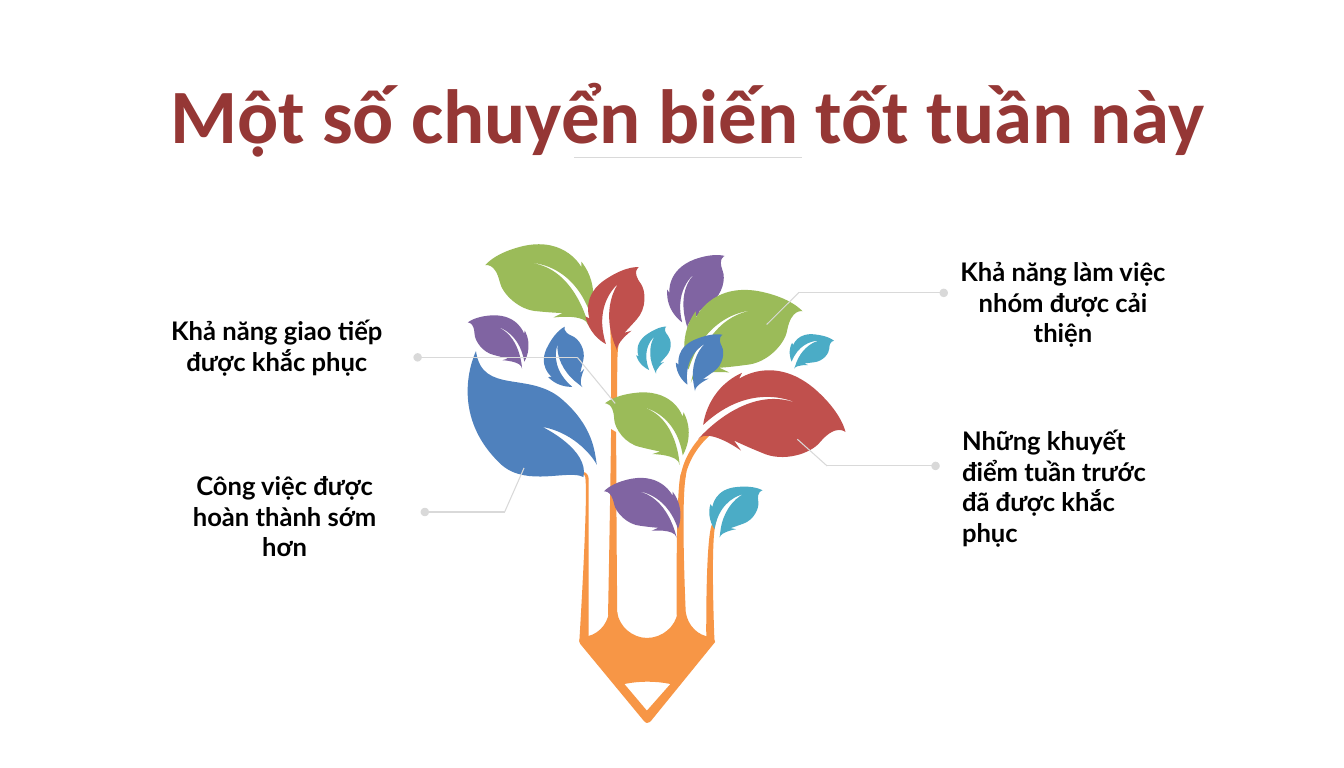
from pptx import Presentation
from pptx.dml.color import RGBColor
from pptx.enum.text import MSO_ANCHOR, MSO_AUTO_SIZE, PP_ALIGN
from pptx.enum.shapes import MSO_CONNECTOR
from pptx.oxml.ns import qn
from pptx.util import Inches, Pt
from lxml import etree

STRAIGHT = MSO_CONNECTOR.STRAIGHT
LEFT, CENTER = PP_ALIGN.LEFT, PP_ALIGN.CENTER
TOP, MIDDLE = MSO_ANCHOR.TOP, MSO_ANCHOR.MIDDLE
GROW, FIXED = MSO_AUTO_SIZE.SHAPE_TO_FIT_TEXT, MSO_AUTO_SIZE.NONE

PURPLE, TEAL, GREEN = "8064A2", "4BACC6", "9BBB59"
BLUE, RED, ORANGE = "4F81BD", "C0504D", "F79646"

# Leaf outlines, each with the three anchor points that place it
JAGGED_LEAF = (
    "M 6.87 4.15 C 6.87 4.15 6.9 3.8 7.25 3.64 L 7.22 3.7 "
    "C 7.22 3.7 7.55 3.46 7.95 3.79 C 8.23 4.03 8.26 4.22 8.26 4.22 "
    "C 8.26 4.22 8.17 4.13 8.01 4.32 C 7.92 4.43 7.65 4.52 7.44 4.42 "
    "C 7.22 4.33 7.17 4.3 7.17 4.3 L 7.24 4.4 C 7.24 4.4 6.92 4.17 6.82 4.29 "
    "C 6.82 4.29 7.28 3.74 7.79 3.94 C 7.79 3.94 7.35 3.7 6.87 4.15 Z",
    ((6.82, 4.29), (8.26, 4.22), (7.22, 3.7)))
ROUND_LEAF = (
    "M 5.76 3.11 C 5.76 3.11 5.67 2.88 5.93 2.72 C 6.13 2.59 6.24 2.61 6.24 2.61 "
    "C 6.24 2.61 6.17 2.65 6.26 2.77 C 6.31 2.84 6.32 3.01 6.22 3.12 "
    "C 6.13 3.22 6.1 3.25 6.1 3.25 L 6.17 3.23 C 6.17 3.23 6.01 3.35 6.03 3.43 "
    "C 6.02 3.39 6 3.36 5.99 3.32 C 5.92 3.11 5.95 2.9 6.04 2.77 "
    "C 5.92 2.88 5.83 3.08 5.92 3.36 C 5.86 3.33 5.75 3.24 5.72 3.09 Z",
    ((5.76, 3.11), (6.24, 2.61), (6.03, 3.43)))

BACK_LEAVES = [
    (JAGGED_LEAF, PURPLE, ((6.72, 3.21), (7.08, 2.5), (6.54, 2.86))),
    (ROUND_LEAF, TEAL, ((7.75, 3.37), (8.15, 3.33), (7.76, 3.6))),
    (JAGGED_LEAF, GREEN, ((6.75, 3.74), (7.84, 3.04), (6.8, 3.1))),
    (ROUND_LEAF, TEAL, ((6.24, 3.48), (6.51, 3.19), (6.41, 3.65))),
    (JAGGED_LEAF, GREEN, ((5.75, 3.18), (4.74, 2.59), (5.68, 2.61))),
]
FRONT_LEAVES = [
    (JAGGED_LEAF, RED, JAGGED_LEAF[1]),
    (JAGGED_LEAF, GREEN, ((6.64, 4.54), (5.91, 3.94), (6.67, 4.07))),
    (ROUND_LEAF, BLUE, ((5.39, 3.68), (5.52, 3.19), (5.69, 3.78))),
    (ROUND_LEAF, TEAL, ((6.96, 4.95), (7.45, 4.79), (7.03, 5.25))),
    (ROUND_LEAF, BLUE, ((6.63, 3.56), (7.06, 3.27), (6.79, 3.82))),
    (ROUND_LEAF, RED, ROUND_LEAF[1]),
    (JAGGED_LEAF, PURPLE, ((5.1, 3.6), (4.57, 3.15), (5.12, 3.26))),
    (JAGGED_LEAF, PURPLE, ((6.61, 5.25), (5.9, 4.8), (6.57, 4.84))),
]
BROAD_LEAF = (
    "M 5.3 4.17 C 5.3 4.17 5.76 4.39 5.7 4.66 C 5.56 4.58 5.15 4.76 4.9 4.54 "
    "C 4.35 4.03 4.65 3.43 4.65 3.43 C 4.71 3.86 5.17 3.62 5.49 3.9 "
    "C 5.79 4.16 5.81 4.4 5.83 4.54 C 5.81 4.49 5.63 4.23 5.3 4.17 Z")
STEMS = [
    "M 7.4 4.02 C 6.96 4.11 6.66 4.46 6.68 4.83 L 6.64 4.76 "
    "C 6.64 4.41 6.92 4.09 7.34 3.99 C 7.56 3.95 7.78 3.98 7.97 4.06 "
    "C 7.8 3.99 7.6 3.98 7.4 4.02 Z",
    "M 6.03 3.91 L 5.97 3.92 L 5.97 3.43 "
    "C 5.96 3.2 5.96 3.12 5.99 3.12 C 6.01 3.12 6.08 3.15 6.04 3.39 "
    "C 6.03 3.44 6.03 3.63 6.03 3.91 Z",
    "M 5.7 6.3 C 5.73 6.3 5.75 6.28 5.75 6.26 L 5.75 4.67 "
    "C 5.75 4.65 5.73 4.61 5.7 4.61 C 5.68 4.61 5.58 4.6 5.71 4.64 "
    "C 5.76 4.65 5.66 6.26 5.66 6.26 C 5.66 6.28 5.68 6.3 5.7 6.3 Z",
    "M 6.94 6.3 C 6.96 6.3 6.98 6.28 6.98 6.26 C 6.98 6.26 6.94 5.31 6.99 5.12 "
    "C 7.04 4.92 6.98 5.09 6.96 5.11 C 6.89 5.23 6.9 6.26 6.9 6.26 "
    "C 6.9 6.28 6.91 6.3 6.94 6.3 Z",
    "M 6.66 6.04 C 6.68 6.04 6.7 6.03 6.7 6 C 6.7 6 6.65 4.92 6.7 4.65 "
    "C 6.72 4.54 6.67 4.59 6.66 4.61 C 6.6 4.66 6.61 6 6.61 6 "
    "C 6.61 6.03 6.63 6.04 6.66 6.04 Z",
    "M 6.02 4.22 C 6.02 5.04 6.03 6 6.03 6 C 6.03 6.02 6.01 6.04 5.99 6.04 "
    "C 5.96 6.04 5.94 6.02 5.94 6 C 5.94 6 5.96 5.02 5.97 4.19 Z",
]
PENCIL_TIP = (
    "M 5.67 6.29 L 6.29 7.04 C 6.3 7.05 6.31 7.06 6.32 7.06 "
    "C 6.34 7.06 6.35 7.05 6.36 7.04 L 6.97 6.29 "
    "C 6.99 6.28 6.99 6.26 6.98 6.25 C 6.97 6.23 6.96 6.23 6.94 6.22 "
    "C 6.82 6.21 6.72 6.11 6.7 5.98 C 6.69 5.95 6.67 5.94 6.65 5.95 "
    "L 6.63 5.95 L 6.62 5.98 C 6.6 6.12 6.47 6.23 6.32 6.23 "
    "C 6.18 6.23 6.05 6.12 6.03 5.98 C 6.03 5.96 6.01 5.95 5.99 5.95 L 5.97 5.95 "
    "L 5.95 5.98 C 5.93 6.11 5.83 6.21 5.7 6.22 "
    "C 5.68 6.23 5.67 6.23 5.66 6.25 C 5.66 6.26 5.66 6.28 5.67 6.29 Z "
    "M 6.1 6.68 C 6.25 6.65 6.4 6.65 6.55 6.68 L 6.32 6.94 Z")

# Leaf point, bend, dot; then text, its box and alignment
CALLOUTS = [
    ((7.49, 3.17), (7.8, 2.86), (9.22, 2.86),
     "Khả năng làm việc nhóm được cải thiện", (9.22, 2.45, 2.33, 1.01), CENTER),
    ((7.79, 4.29), (8.08, 4.55), (9.14, 4.55),
     "Những khuyết điểm tuần trước đã được khắc phục", (9.3, 4.1, 2.25, 1.31), LEFT),
    ((6.01, 3.94), (5.64, 3.49), (4.08, 3.49),
     "Khả năng giao tiếp được khắc phục", (1.57, 3.03, 2.27, 1.01), CENTER),
    ((5.12, 4.57), (4.93, 5), (4.15, 5),
     "Công việc được hoàn thành sớm hơn", (1.57, 4.54, 2.42, 1.01), CENTER),
]


def rgb(color):
    return RGBColor.from_string(color)


def contours(outline):
    """Split an M/L/C/Z outline into loops of segments: one point, or three for a curve."""
    loops = []
    for loop in outline.replace("Z", "").split("M")[1:]:
        segments = []
        for part in loop.replace("L", "C").split("C"):
            numbers = [float(n) for n in part.split()]
            segments.append(list(zip(numbers[::2], numbers[1::2])))
        loops.append(segments)
    return loops


def anchored(point, source, target):
    """Map a point by the affine rule that takes three source anchors to target."""
    (ox, oy), (ax, ay), (bx, by) = source
    ux, uy, vx, vy = ax - ox, ay - oy, bx - ox, by - oy
    dx, dy = point[0] - ox, point[1] - oy
    det = ux * vy - vx * uy
    a, b = (dx * vy - vx * dy) / det, (ux * dy - uy * dx) / det
    origin, first, second = target
    return tuple(o + a * (p - o) + b * (q - o) for o, p, q in zip(origin, first, second))


class TreeSlide:
    line_color = "D9D9D9"

    def __init__(self, slide):
        self.shapes = slide.shapes

    def text(self, words, box, size=18, font="Lato", color="000000",
             align=CENTER, anchor=TOP, fit=GROW):
        frame = self.shapes.add_textbox(*map(Inches, box)).text_frame
        frame.word_wrap, frame.auto_size, frame.vertical_anchor = True, fit, anchor
        paragraph = frame.paragraphs[0]
        paragraph.alignment = align
        run = paragraph.add_run()
        run.text = words
        run.font.size, run.font.name, run.font.bold = Pt(size), font, True
        run.font.color.rgb = rgb(color)

    def line(self, start, end, dot=False):
        connector = self.shapes.add_connector(STRAIGHT, *map(Inches, start + end))
        connector.line.color.rgb = rgb(self.line_color)
        connector.line.width = Pt(0.75)
        properties = connector.element.spPr
        if dot:
            etree.SubElement(properties.find(qn("a:ln")), qn("a:tailEnd"), type="oval")
        etree.SubElement(properties, qn("a:effectLst"))

    def outline(self, loops, color):
        builder = None
        for loop in loops:
            corners = [tuple(map(Inches, segment[-1])) for segment in loop]
            if builder is None:
                builder = self.shapes.build_freeform(*corners[0])
            else:
                builder.move_to(*corners[0])
            builder.add_line_segments(corners[1:], close=True)
        shape = builder.convert_to_shape()
        self.bend(shape, [segment for loop in loops for segment in loop[1:]])
        shape.shadow.inherit = False
        shape.fill.solid()
        shape.fill.fore_color.rgb = rgb(color)
        shape.line.fill.background()

    def bend(self, shape, segments):
        """Turn the sides that have control points into cubic curves."""
        for side, segment in zip(list(shape.element.iter(qn("a:lnTo"))), segments):
            if len(segment) == 3:
                side.tag = qn("a:cubicBezTo")
                for place, (x, y) in enumerate(segment[:2]):
                    control = etree.Element(qn("a:pt"), x=str(Inches(x) - shape.left),
                                            y=str(Inches(y) - shape.top))
                    side.insert(place, control)

    def leaf(self, kind, color, target):
        outline, source = kind
        self.outline([[[anchored(point, source, target) for point in segment]
                       for segment in loop] for loop in contours(outline)], color)


def main():
    deck = Presentation()
    deck.slide_width, deck.slide_height = Inches(13.13), Inches(7.5)
    tree = TreeSlide(deck.slides.add_slide(deck.slide_layouts[6]))
    tree.line((5.61, 1.54), (7.84, 1.54))
    tree.text("Một số chuyển biến tốt tuần này", (0.51, 0.8, 12.42, 0.61), size=54,
              font="Calibri", color="953735", anchor=MIDDLE, fit=FIXED)
    for leaf in BACK_LEAVES:
        tree.leaf(*leaf)
    for wood in STEMS + [PENCIL_TIP]:
        tree.outline(contours(wood), ORANGE)
    tree.outline(contours(BROAD_LEAF), BLUE)
    for leaf in FRONT_LEAVES:
        tree.leaf(*leaf)
    for leaf_point, bend, dot, words, box, align in CALLOUTS:
        tree.line(leaf_point, bend)
        tree.line(bend, dot, dot=True)
        tree.text(words, box, align=align)
    deck.save("out.pptx")


if __name__ == "__main__":
    main()
